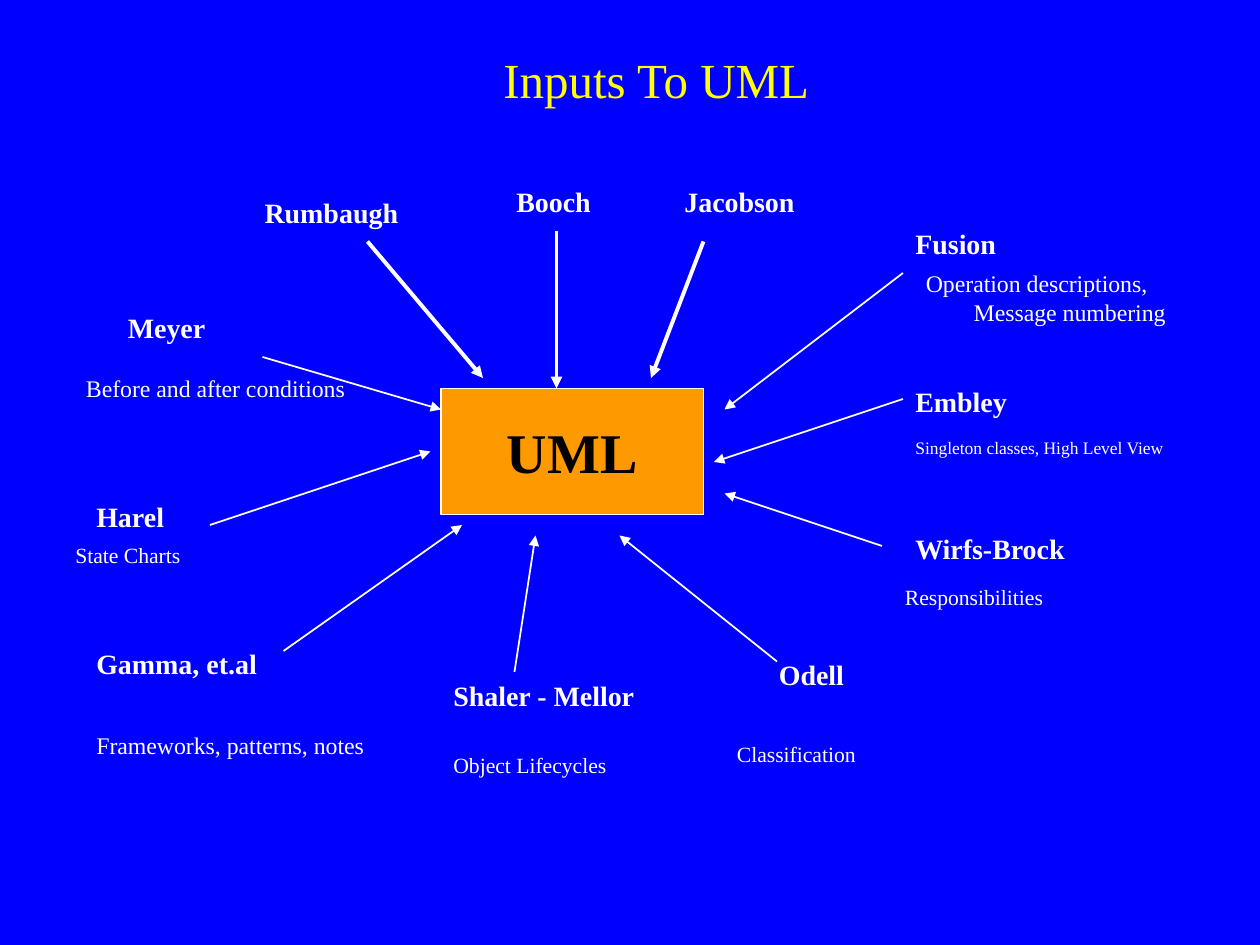
import pptx
import pptx.dml.color
import pptx.enum.shapes
import pptx.enum.text
import pptx.oxml.ns
import pptx.util
import lxml.etree

ALIGN = pptx.enum.text.PP_ALIGN
ANCHOR = pptx.enum.text.MSO_ANCHOR
BLUE, YELLOW, WHITE, ORANGE, BLACK = "0000FF", "FFFF00", "FFFFFF", "FF9900", "000000"

presentation = pptx.Presentation()
presentation.slide_width = pptx.util.Inches(10)
presentation.slide_height = pptx.util.Inches(7.5)
cell = presentation.slide_width // 120


def paint(color_format, hex_color):
    color_format.rgb = pptx.dml.color.RGBColor.from_string(hex_color)


def write(shape, text, size=16, color=WHITE, bold=False, align=ALIGN.LEFT,
          anchor=ANCHOR.TOP, wrap=True, hanging=0, before=0):
    frame = shape.text_frame
    frame.text = text
    frame.auto_size = pptx.enum.text.MSO_AUTO_SIZE.NONE
    frame.word_wrap = wrap
    frame.vertical_anchor = anchor
    paragraph = frame.paragraphs[0]
    paragraph.alignment = align
    paragraph.space_before = pptx.util.Pt(before)
    font = paragraph.runs[0].font
    font.name = "Times New Roman"
    font.size = pptx.util.Pt(size)
    font.bold = bold
    paint(font.color, color)
    properties = paragraph._p.get_or_add_pPr()
    properties.set("marL", str(pptx.util.Inches(hanging)))
    properties.set("indent", str(-pptx.util.Inches(hanging)))
    lxml.etree.SubElement(properties, pptx.oxml.ns.qn("a:buNone"))


slide = presentation.slides.add_slide(presentation.slide_layouts[1])
slide.background.fill.solid()
paint(slide.background.fill.fore_color, BLUE)

title, first_name = slide.placeholders
title.left, title.top, title.width, title.height = [cell * n for n in (21, 4, 83, 7)]
write(title, "Inputs To UML", size=28, color=YELLOW, align=ALIGN.CENTER, anchor=ANCHOR.MIDDLE)

first_name.left, first_name.top, first_name.width, first_name.height = [
    cell * n for n in (24, 18, 18, 5)]
write(first_name, "Rumbaugh", bold=True, hanging=0.38, before=4)

uml_box = slide.shapes.add_shape(
    pptx.enum.shapes.MSO_SHAPE.RECTANGLE, *[cell * n for n in (42, 37, 25, 12)])
uml_box.shadow.inherit = False
uml_box.fill.solid()
paint(uml_box.fill.fore_color, ORANGE)
paint(uml_box.line.color, WHITE)
uml_box.line.width = pptx.util.Pt(0.75)
write(uml_box, "UML", size=32, color=BLACK, bold=True, align=ALIGN.CENTER,
      anchor=ANCHOR.MIDDLE, wrap=False)

names = [
    ("Booch", 48, 17, 18),
    ("Jacobson", 64, 17, 18),
    ("Meyer", 11, 29, 18),
    ("Harel", 8, 47, 18),
    ("Gamma, et.al", 8, 61, 18),
    ("Shaler - Mellor", 42, 64, 24),
    ("Odell", 73, 62, 18),
    ("Wirfs-Brock", 86, 50, 24),
    ("Embley", 86, 36, 24),
    ("Fusion", 86, 21, 24),
]
for text, column, row, columns in names:
    name_box = slide.shapes.add_textbox(column * cell, row * cell, columns * cell, 5 * cell)
    write(name_box, text, bold=True, hanging=0.38, before=4)

contributions = [
    ("Before and after conditions", 7, 35, 28, 7, 13.6),
    ("State Charts", 6, 51, 19, 4, 12.4),
    ("Frameworks, patterns, notes", 8, 69, 28, 7, 13.6),
    ("Object Lifecycles", 42, 71, 28, 4, 12.4),
    ("Classification", 69, 70, 28, 4, 12.4),
    ("Responsibilities", 85, 55, 28, 4, 12.4),
    ("Operation descriptions, Message numbering", 87, 25, 29, 7, 13.6),
    ("Singleton classes, High Level View", 86, 41, 28, 4, 10),
]
for text, column, row, columns, rows, size in contributions:
    contribution_box = slide.shapes.add_textbox(
        column * cell, row * cell, columns * cell, rows * cell)
    write(contribution_box, text, size=size, hanging=0.38, before=4)

arrows = [
    (35, 23, 46, 36, 2.25),
    (53, 22, 53, 37, 2.25),
    (67, 23, 62, 36, 2.25),
    (25, 34, 42, 39, 1),
    (20, 50, 41, 43, 1),
    (27, 62, 44, 50, 1),
    (49, 64, 51, 51, 1),
    (74, 63, 59, 51, 1),
    (84, 52, 69, 47, 1),
    (86, 26, 69, 39, 1),
    (86, 38, 68, 44, 1),
]
for *ends, width in arrows:
    arrow = slide.shapes.add_connector(
        pptx.enum.shapes.MSO_CONNECTOR.STRAIGHT, *[cell * n for n in ends])
    paint(arrow.line.color, WHITE)
    arrow.line.width = pptx.util.Pt(width)
    head = lxml.etree.SubElement(arrow.line._get_or_add_ln(), pptx.oxml.ns.qn("a:tailEnd"))
    head.set("type", "triangle")
    lxml.etree.SubElement(arrow._element.spPr, pptx.oxml.ns.qn("a:effectLst"))

presentation.save("out.pptx")
